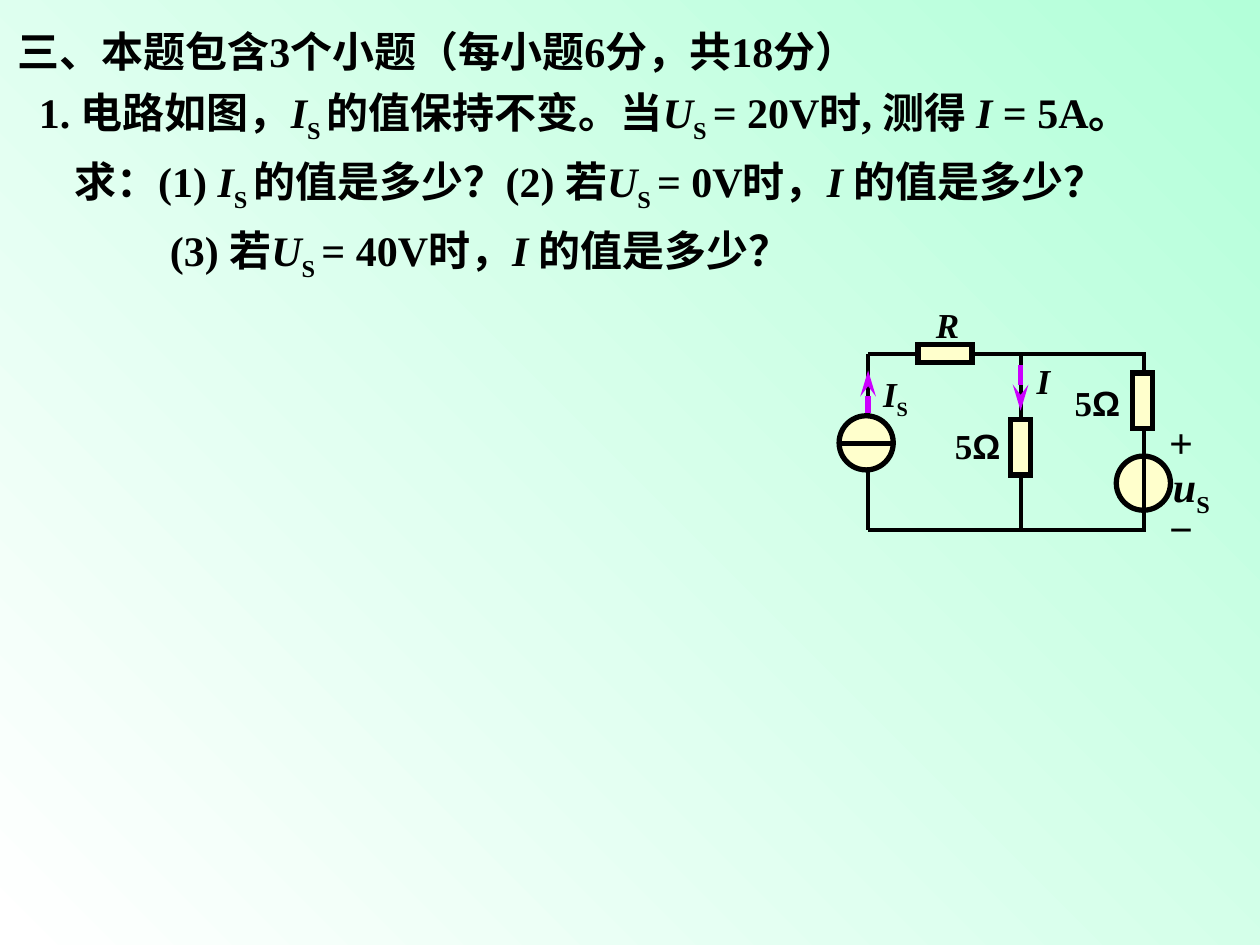
from lxml import etree
from pptx import Presentation
from pptx.dml.color import RGBColor
from pptx.enum import shapes, text
from pptx.oxml import ns
from pptx.util import Inches, Pt

INK = {"mint": "B3FFD9", "white": "FFFFFF", "black": "000000",
       "cream": "FFFFCC", "violet": "CC00FF"}
INK = {name: RGBColor.from_string(code) for name, code in INK.items()}


def write(box, lines, size):
    """Fill a box; a run is (text, style): i italic, s subscript, a Arial."""
    frame = box.text_frame
    frame.word_wrap = True
    for n, line in enumerate(lines):
        par = frame.paragraphs[0] if n == 0 else frame.add_paragraph()
        for words, style in line:
            run = par.add_run()
            run.text = words
            font = run.font
            font.size, font.bold = Pt(size), True
            font.name = "Arial" if style == "a" else "Times New Roman"
            font.color.rgb = INK["black"]
            if style == "i":
                font.italic = True
            if style == "s":
                run._r.get_or_add_rPr().set("baseline", "-25000")
    return frame.paragraphs


def wire(group, x1, y1, x2, y2, width=2.25, color="black", arrow=False):
    """Draw a straight wire, or an arrow along one."""
    line = group.shapes.add_connector(
        shapes.MSO_CONNECTOR.STRAIGHT,
        Inches(x1), Inches(y1), Inches(x2), Inches(y2))
    line.line.width = Pt(width)
    line.line.color.rgb = INK[color]
    if arrow:
        etree.SubElement(line.line._get_or_add_ln(), ns.qn("a:tailEnd"),
                         type="stealth", w="med", len="lg")
    etree.SubElement(line._element.spPr, ns.qn("a:effectLst"))


deck = Presentation()
deck.slide_width, deck.slide_height = Inches(10), Inches(7.5)
slide = deck.slides.add_slide(deck.slide_layouts[6])

# Background gradient, from top right to bottom left
fill = slide.background.fill
fill.gradient()
fill.gradient_angle = 225
for stop, name, place in zip(fill.gradient_stops, ("mint", "white"), (0, 1)):
    stop.color.rgb = INK[name]
    stop.position = place

# Question text
box = slide.shapes.add_textbox(Inches(0.04), Inches(0.07), Inches(9.71), Inches(2.22))
box.text_frame.margin_right = 0
lines = [
    [("三、本题包含3个小题（每小题6分，共18分）", "")],
    [("1. 电路如图，", ""), ("I", "i"), ("S ", "s"), ("的值保持不变。当", ""),
     ("U", "i"), ("S ", "s"), ("= 20V时, 测得 ", ""), ("I ", "i"), ("= 5A。", "")],
    [("求：(1) ", ""), ("I", "i"), ("S ", "s"), ("的值是多少？(2) 若", ""),
     ("U", "i"), ("S ", "s"), ("= 0V时，", ""), ("I ", "i"), ("的值是多少？", "")],
    [("(3) 若", ""), ("U", "i"), ("S ", "s"), ("= 40V时，", ""),
     ("I ", "i"), ("的值是多少？", "")],
]
pars = write(box, lines, 24)
for par, left in zip(pars, (0, 0.17, 0.45, 1.21)):
    par.line_spacing = 1.2
    if left:
        props = par._p.get_or_add_pPr()
        props.set("marL", str(Inches(left)))
        props.set("indent", "0")

# Circuit: columns of the three branches, top and bottom rails
group = slide.shapes.add_group_shape()
west, mid, east = 6.89, 8.1, 9.08
top, half, base = 2.81, 3.53, 4.21
oval, rect = shapes.MSO_SHAPE.OVAL, shapes.MSO_SHAPE.RECTANGLE

# Sources and resistors, each followed by the wires that cross it
parts = [
    (oval, 8.86, 3.62, 0.43, 0.43, 0, []),
    (rect, 7.43, 2.59, 0.14, 0.43, 90, [(mid, top, mid, base), (west, top, west, base)]),
    (oval, 6.66, 3.3, 0.43, 0.43, 0, [(6.65, 3.52, 7.09, 3.52, 3)]),
    (rect, 8.02, 3.33, 0.16, 0.44, 0, []),
    (rect, 8.99, 2.96, 0.16, 0.44, 0, []),
]
for n, (kind, x, y, w, h, turn, wires) in enumerate(parts):
    part = group.shapes.add_shape(kind, Inches(x), Inches(y), Inches(w), Inches(h))
    part.shadow.inherit = False
    part.rotation = turn
    part.fill.solid()
    part.fill.fore_color.rgb = INK["cream"]
    part.line.color.rgb = INK["black"]
    part.line.width = Pt(3)
    etree.SubElement(part.line._get_or_add_ln(), ns.qn("a:miter"), lim="800000")
    for ends in wires:
        wire(group, *ends)
    if n == 0:
        # Outer loop, lower and upper rail
        for rail in (base, top):
            pen = group.shapes.build_freeform(Inches(east), Inches(half))
            pen.add_line_segments([(Inches(east), Inches(rail)),
                                   (Inches(west), Inches(rail))], close=False)
            loop = pen.convert_to_shape()
            loop.shadow.inherit = False
            loop.fill.background()
            loop.line.color.rgb = INK["black"]
            loop.line.width = Pt(2.25)
            etree.SubElement(loop.line._get_or_add_ln(), ns.qn("a:miter"), lim="800000")

# Current arrows
wire(group, west, 3.28, west, 2.94, 3, "violet", True)
wire(group, mid, 2.9, mid, 3.26, 3, "violet", True)

# Labels
ohms = [[("5", ""), ("Ω", "a")]]
labels = [
    (8.43, 2.98, 0.78, 0.56, ohms, 20),
    (7.48, 3.32, 0.78, 0.56, ohms, 20),
    (8.13, 2.8, 0.5, 0.55, [[("I", "i")]], 20),
    (7.33, 2.36, 0.38, 0.44, [[("R", "i")]], 20),
    (6.91, 2.91, 0.55, 0.48, [[("I", "i"), ("S", "s")]], 20),
    (9.18, 3.33, 0.6, 1.11, [[("+", "")], [("u", "i"), ("S ", "s")], [("−", "")]], 24),
]
for x, y, w, h, lines, size in labels:
    box = group.shapes.add_textbox(Inches(x), Inches(y), Inches(w), Inches(h))
    pars = write(box, lines, size)
    if len(pars) == 3:
        for par in pars:
            par.line_spacing = 0.8
        pars[1].alignment = text.PP_ALIGN.CENTER

deck.save("out.pptx")
